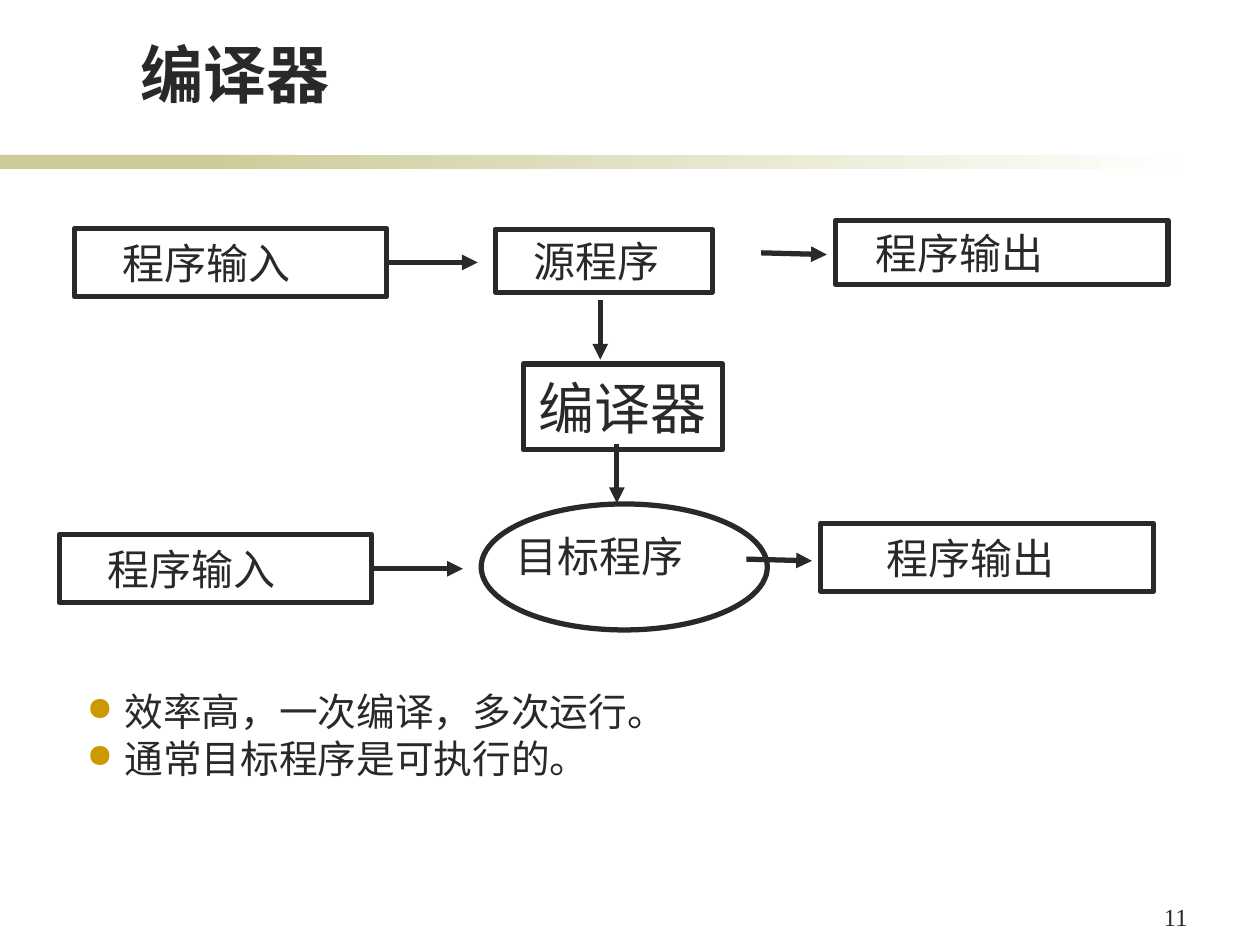
from lxml import etree
from pptx import Presentation
from pptx.dml.color import RGBColor
from pptx.enum.shapes import MSO_CONNECTOR, MSO_SHAPE
from pptx.enum.text import MSO_ANCHOR, PP_ALIGN
from pptx.oxml.ns import qn
from pptx.util import Pt

RECTANGLE, ELLIPSE = MSO_SHAPE.RECTANGLE, MSO_SHAPE.OVAL
STRAIGHT = MSO_CONNECTOR.STRAIGHT
TOP, MIDDLE, BOTTOM = MSO_ANCHOR.TOP, MSO_ANCHOR.MIDDLE, MSO_ANCHOR.BOTTOM
LEFT, CENTER = PP_ALIGN.LEFT, PP_ALIGN.CENTER
RIGHT_SIDE = 3
COLORS = {"ink": "292929", "band": "CCCC99", "paper": "FFFFFF", "bullet": "CC9900"}


def color(key):
    """Return the named colour."""
    return RGBColor.from_string(COLORS[key])


def write(shape, *lines, size=24, font="Arial", bold=False, align=LEFT,
          anchor=MIDDLE, inset=7.2, wrap=True):
    """Write one paragraph per line and return the paragraphs."""
    frame = shape.text_frame
    frame.word_wrap = wrap
    frame.vertical_anchor = anchor
    frame.margin_left = Pt(inset)
    for index, line in enumerate(lines):
        paragraph = frame.paragraphs[0] if index == 0 else frame.add_paragraph()
        paragraph.alignment = align
        run = paragraph.add_run()
        run.text = line
        run.font.size, run.font.name, run.font.bold = Pt(size), font, bold
        run.font.color.rgb = color("ink")
    return frame.paragraphs


def text_box(slide, box, *lines, **style):
    """Add a text box and return its paragraphs."""
    return write(slide.shapes.add_textbox(*map(Pt, box)), *lines, **style)


def node(slide, box, label=None, outline=RECTANGLE, **style):
    """Add an outlined node with an optional label."""
    shape = slide.shapes.add_shape(outline, *map(Pt, box))
    shape.shadow.inherit = False
    shape.fill.background()
    shape.line.color.rgb = color("ink")
    shape.line.width = Pt(3)
    if label:
        write(shape, label, **style)
    return shape


def arrow(slide, start, end, source=None):
    """Add an arrow, joined to the right side of its source if given."""
    line = slide.shapes.add_connector(STRAIGHT, *map(Pt, (*start, *end)))
    if source is not None:
        line.begin_connect(source, RIGHT_SIDE)
    line.line.color.rgb = color("ink")
    line.line.width = Pt(3)
    etree.SubElement(line.line._get_or_add_ln(), qn("a:tailEnd"), type="triangle")
    etree.SubElement(line._element.spPr, qn("a:effectLst"))


def header(slide, left, top, width):
    """Place the title above a band that fades to the right."""
    text_box(slide, (left + 73.5, top + 16.5, 528.5, 50.5), "编译器",
             size=36, bold=True, anchor=BOTTOM)
    solid_width, fade_left = 168, 114
    for offset, length in ((0, solid_width), (fade_left, width - fade_left)):
        band = slide.shapes.add_shape(
            RECTANGLE, Pt(left + offset), Pt(top + 88.5), Pt(length), Pt(8))
        band.shadow.inherit = False
        band.line.fill.background()
        if offset:
            band.fill.gradient()
            band.fill.gradient_angle = 0
            for stop, key, position in zip(
                    band.fill.gradient_stops, ("band", "paper"), (0, 1)):
                stop.color.rgb, stop.position = color(key), position
        else:
            band.fill.solid()
            band.fill.fore_color.rgb = color("band")


def run_row(slide, left, top, output_rise, output_height, output_inset):
    """Place a program's input and output with the arrows between them."""
    input_width, input_height = 178.5, 39
    program_input = node(slide, (left, top, input_width, input_height),
                         "程序输入", inset=27.5)
    middle = top + input_height / 2
    arrow(slide, (left + input_width, middle), (left + 230.5, middle), program_input)
    arrow(slide, (left + 392.5, top + 14), (left + 430, top + 15))
    node(slide, (left + 435, top - output_rise, 190, output_height),
         "程序输出", inset=output_inset)


def diagram(slide, left, top):
    """Place both run rows and the compile steps that link them."""
    run_row(slide, left + 8.5, top + 4.5, 4.5, 36.5, 23)
    run_row(slide, left, top + 179.5, 6.5, 39, 37.5)
    node(slide, (left + 249, top + 5, 124, 36), "源程序", inset=22, wrap=False)
    node(slide, (left + 265, top + 82, 114, 49), "编译器",
         size=32, align=CENTER, wrap=False)
    node(slide, (left + 241, top + 162, 163.5, 72), outline=ELLIPSE)
    text_box(slide, (left + 233, top + 173.5, 174, 36), "目标程序", inset=27.5)
    for x, y in ((309, 45.5), (318.5, 127.5)):
        arrow(slide, (left + x, top + y), (left + x, top + y + 34))


def remarks(slide, left, top, width):
    """Place the bulleted remarks."""
    lines = text_box(slide, (left, top, width, 60), "效率高，一次编译，多次运行。",
                     "通常目标程序是可执行的。", size=22.1, anchor=TOP)
    for paragraph in lines:
        paragraph.line_spacing = 0.8
        paragraph.space_before = Pt(5.8)
        properties = paragraph._p.get_or_add_pPr()
        properties.set("marL", str(Pt(21.6)))
        properties.set("indent", str(Pt(-21.6)))
        tint = etree.SubElement(properties, qn("a:buClr"))
        etree.SubElement(tint, qn("a:srgbClr"), val=COLORS["bullet"])
        etree.SubElement(properties, qn("a:buSzPct"), val="85000")
        etree.SubElement(properties, qn("a:buChar"), char="●")


def page_number(slide, left, top):
    """Place the page number."""
    text_box(slide, (left, top, 34, 24.5), "11", size=14,
             font="Times New Roman", anchor=TOP)


def main():
    """Build and save the slide."""
    deck = Presentation()
    deck.slide_width, deck.slide_height = Pt(720), Pt(540)
    slide = deck.slides.add_slide(deck.slide_layouts[6])
    header(slide, 0, 0, 684)
    remarks(slide, 42.5, 394.5, 630)
    diagram(slide, 34, 126)
    page_number(slide, 658, 512)
    deck.save("out.pptx")


if __name__ == "__main__":
    main()
